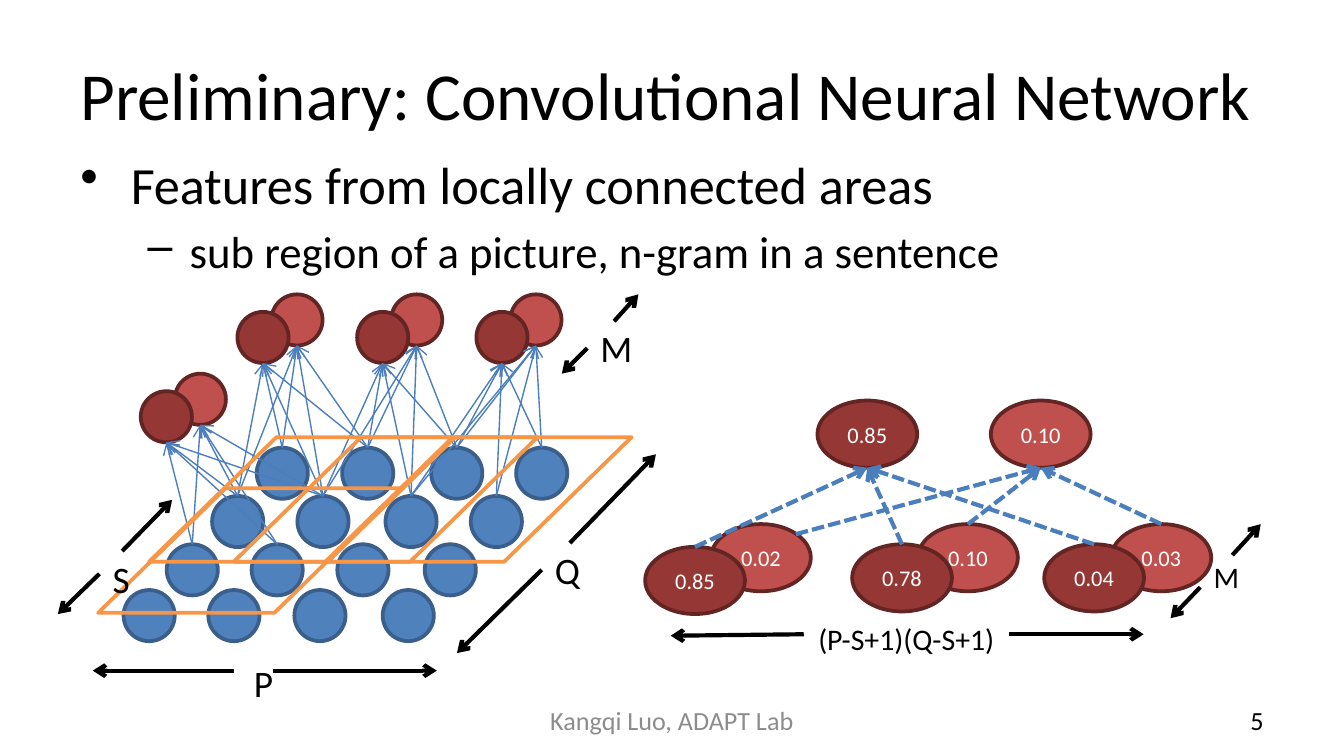
from lxml import etree
from pptx import Presentation
from pptx.dml.color import RGBColor
from pptx.enum.dml import MSO_LINE
from pptx.enum.shapes import MSO_CONNECTOR, MSO_SHAPE
from pptx.enum.text import MSO_ANCHOR, PP_ALIGN
from pptx.oxml.ns import qn
from pptx.util import Pt

ELLIPSE, WINDOW = MSO_SHAPE.OVAL, MSO_SHAPE.PARALLELOGRAM
STRAIGHT, DASHED = MSO_CONNECTOR.STRAIGHT, MSO_LINE.SQUARE_DOT
TOP, MIDDLE = MSO_ANCHOR.TOP, MSO_ANCHOR.MIDDLE
LEFT, CENTER, RIGHT = PP_ALIGN.LEFT, PP_ALIGN.CENTER, PP_ALIGN.RIGHT

BLACK, WHITE, GREY = "000000", "FFFFFF", "8C8C8C"
BLUE, BLUE_EDGE, BLUE_LINE = "4F81BD", "3A5F8C", "4B7EBC"
RED, DARK_RED, RED_EDGE, ORANGE = "C0504D", "953735", "632523", "F79646"

# Content: (text, left, top, width, height, size, colour, align, anchor)
TITLE = ("Preliminary: Convolutional Neural Network",
         36, 16.6, 648, 67.5, 36, BLACK, LEFT, MIDDLE)
FOOTERS = [
    ("Kangqi Luo, ADAPT Lab", 246, 375, 228, 21.6, 14, GREY, CENTER, MIDDLE),
    ("5", 516, 375, 168, 21.6, 14, BLACK, RIGHT, MIDDLE),
]
# (text, bullet, size, left margin, hanging indent, space before)
BULLETS = [
    ("Features from locally connected areas", "•", 28, 27, 27, 0),
    ("sub region of a picture, n-gram in a sentence", "–", 24, 58.5, 22.5, 4.8),
]

# Input grid: (top, lefts); map pairs: (left, top, first row, first column)
DOT = 27.4
GRID = [
    (239.8, (137.5, 183.3, 231, 276.5)),
    (265.7, (113.6, 159.3, 206.5, 252.2)),
    (291.6, (89.3, 134.8, 180.7, 227.5)),
    (316.1, (66.2, 111.6, 157.7, 205)),
]
MAPS = [(145.4, 157.7, 0, 0), (273.4, 157.7, 0, 2),
        (209.5, 157.7, 0, 1), (93.6, 200.2, 1, 0)]
FRONT_SHIFT = (-18.2, 9.4)
WINDOWS = [(52.6, 261.6), (175.7, 234.2), (125.3, 234.2), (79.9, 234.2)]
WINDOW_SIZE, WINDOW_SLANT = (162.7, 66.7), 1.023

# Size arrows: (from x, from y, to x, to y); labels: (text, box, size)
INPUT_ARROWS = [
    (125.3, 359.3, 49.7, 359.3), (146.2, 359.3, 234, 359.3),
    (290.2, 305.3, 244.8, 349.9), (305.3, 290.9, 351.4, 243.4),
    (314.6, 186.5, 301, 200.2), (329, 172.1, 342, 157.7),
    (53.3, 307.4, 31, 329), (65.5, 295.2, 92.2, 267.8),
]
INPUT_LABELS = [
    ("P", 128.9, 349.9, 20.2, 31.7, 20), ("Q", 290.2, 289.4, 20.2, 23, 20),
    ("M", 314.6, 170.6, 20.2, 23, 20), ("S", 53.3, 294.5, 15.8, 23, 20),
]
POOL_ARROWS = [
    (643, 314.6, 627.1, 331.2), (660.2, 297.4, 675.4, 280.8),
    (430.6, 339.8, 359.3, 340.6), (540.7, 339.8, 612.7, 339.8),
]
POOL_LABELS = [("M", 643, 295.9, 23, 26.6, 16),
               ("(P-S+1)(Q-S+1)", 431.3, 329, 110.2, 26.6, 16)]

# Pooling values: (text, left, top)
OVAL = (53.5, 36)
BACK_VALUES = [("0.02", 380.9, 280.8), ("0.03", 595.4, 280.8), ("0.10", 491.8, 280.8)]
FRONT_VALUES = [("0.85", 345.6, 293), ("0.04", 559.4, 291.6), ("0.78", 456.5, 291.6)]
FRONT_MAX, BACK_MAX = ("0.85", 437.9, 214.6), ("0.10", 530.8, 214.6)


def colour(value):
    return RGBColor.from_string(value)


def set_values(target, values):
    for name, value in values.items():
        setattr(target, name, value)


def write(para, text, size, shade):
    span = para.add_run()
    span.text = text
    set_values(span.font, {"size": Pt(size), "name": "Calibri"})
    span.font.color.rgb = colour(shade)


def add_text(shapes, text, left, top, width, height, size,
             shade=BLACK, align=LEFT, anchor=TOP):
    box = shapes.add_textbox(Pt(left), Pt(top), Pt(width), Pt(height))
    set_values(box.text_frame, {"word_wrap": True, "vertical_anchor": anchor})
    para = box.text_frame.paragraphs[0]
    para.alignment = align
    write(para, text, size, shade)


def add_bullets(shapes):
    box = shapes.add_textbox(Pt(36), Pt(77.8), Pt(648), Pt(267))
    frame = box.text_frame
    frame.word_wrap = True
    for index, (text, bullet, size, margin, hang, before) in enumerate(BULLETS):
        para = frame.add_paragraph() if index else frame.paragraphs[0]
        para.space_before = Pt(before)
        properties = para._p.get_or_add_pPr()
        properties.set("marL", str(Pt(margin)))
        properties.set("indent", str(-Pt(hang)))
        etree.SubElement(properties, qn("a:buChar"), char=bullet)
        write(para, text, size, BLACK)


def add_outline(shapes, kind, left, top, size, edge, fill=None):
    shape = shapes.add_shape(kind, Pt(left), Pt(top), Pt(size[0]), Pt(size[1]))
    shape.shadow.inherit = False
    if fill:
        shape.fill.solid()
        shape.fill.fore_color.rgb = colour(fill)
    else:
        shape.fill.background()
    shape.line.color.rgb = colour(edge)
    shape.line.width = Pt(2)
    return shape


def add_value(shapes, value, fill):
    text, left, top = value
    shape = add_outline(shapes, ELLIPSE, left, top, OVAL, RED_EDGE, fill)
    set_values(shape.text_frame, {
        "margin_left": 0, "margin_right": 0, "margin_top": 0,
        "margin_bottom": 0, "vertical_anchor": MIDDLE})
    para = shape.text_frame.paragraphs[0]
    para.alignment = CENTER
    write(para, text, 12, WHITE)


def add_arrow(shapes, start, end, shade=BLACK, width=2.25, dash=None):
    arrow = shapes.add_connector(STRAIGHT, *(Pt(value) for value in (*start, *end)))
    arrow.line.color.rgb = colour(shade)
    set_values(arrow.line, {"width": Pt(width), "dash_style": dash})
    etree.SubElement(arrow.line._get_or_add_ln(), qn("a:tailEnd"), type="arrow")
    etree.SubElement(arrow._element.spPr, qn("a:effectLst"))


def add_dimensions(shapes, arrows, labels):
    for arrow in arrows:
        add_arrow(shapes, arrow[:2], arrow[2:])
    for label in labels:
        add_text(shapes, *label)


def add_convolution(shapes):
    for top, lefts in GRID:
        for left in lefts:
            add_outline(shapes, ELLIPSE, left, top, (DOT, DOT), BLUE_EDGE, BLUE)
    # Each pair of maps reads a two by two window of the grid
    for left, top, row, column in MAPS:
        front = (left + FRONT_SHIFT[0], top + FRONT_SHIFT[1])
        pair = [(left, top, RED), (*front, DARK_RED)]
        for x, y, fill in pair:
            add_outline(shapes, ELLIPSE, x, y, (DOT, DOT), RED_EDGE, fill)
        for x, y, _ in pair:
            for dot_top, lefts in GRID[row:row + 2]:
                for dot_left in lefts[column:column + 2]:
                    add_arrow(shapes, (dot_left + DOT / 2, dot_top),
                              (x + DOT / 2, y + DOT), BLUE_LINE, 0.75)
    for left, top in WINDOWS:
        window = add_outline(shapes, WINDOW, left, top, WINDOW_SIZE, ORANGE)
        window.adjustments[0] = WINDOW_SLANT
    add_dimensions(shapes, INPUT_ARROWS, INPUT_LABELS)


def add_pooling(shapes):
    for back, front in zip(BACK_VALUES, FRONT_VALUES):
        add_value(shapes, back, RED)
        add_value(shapes, front, DARK_RED)
    add_dimensions(shapes, POOL_ARROWS, POOL_LABELS)
    width, height = OVAL
    for values, peak, fill in ((FRONT_VALUES, FRONT_MAX, DARK_RED),
                               (BACK_VALUES, BACK_MAX, RED)):
        add_value(shapes, peak, fill)
        for value in values:
            start = (value[1] + width / 2, value[2])
            if value is BACK_VALUES[0]:  # leaves from its upper right
                start = (value[1] + width * 0.85, value[2] + height * 0.15)
            add_arrow(shapes, start, (peak[1] + width / 2, peak[2] + height),
                      BLUE_LINE, 2.25, DASHED)


deck = Presentation()
set_values(deck, {"slide_width": Pt(720), "slide_height": Pt(405)})
page = deck.slides.add_slide(deck.slide_layouts[6])
add_text(page.shapes, *TITLE)
add_bullets(page.shapes)
for footer in FOOTERS:
    add_text(page.shapes, *footer)
add_convolution(page.shapes.add_group_shape().shapes)
add_pooling(page.shapes.add_group_shape().shapes)
deck.save("out.pptx")
